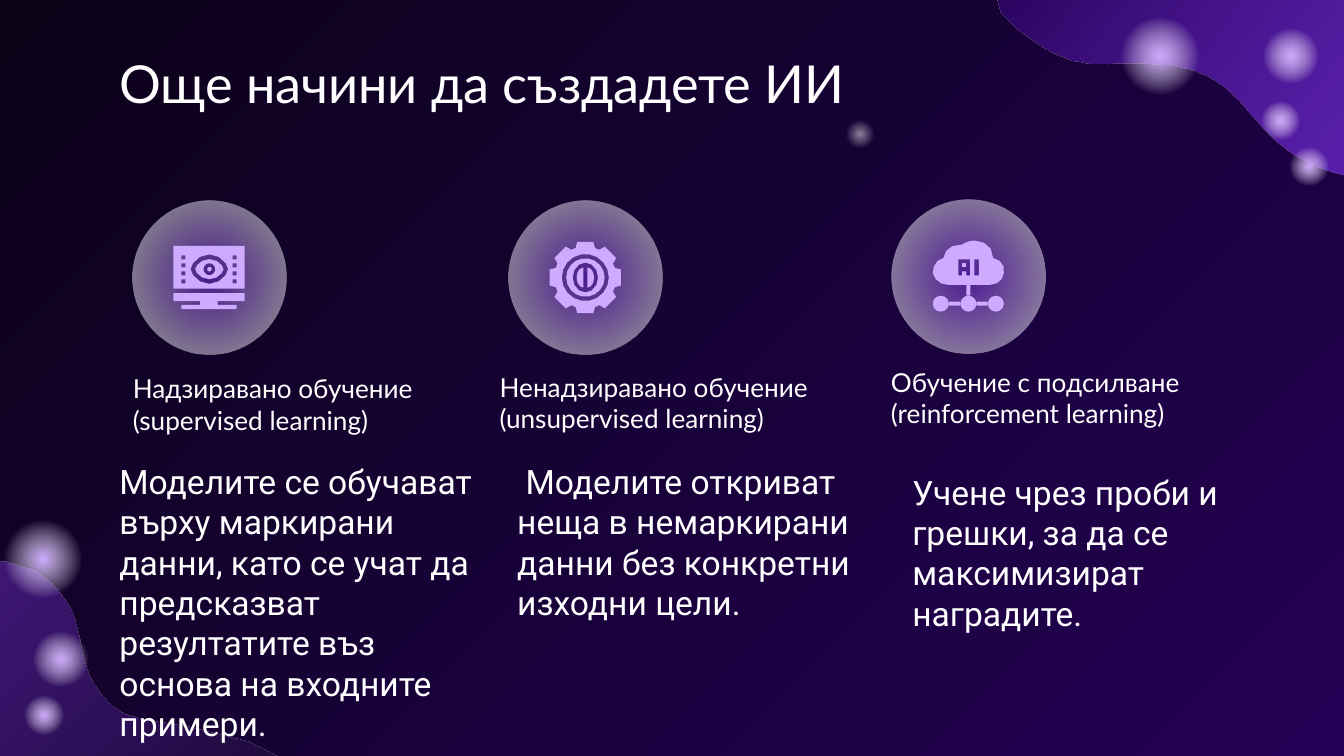
from dataclasses import dataclass
from math import cos, radians, sin
from typing import NamedTuple, Optional

from lxml import etree
from pptx import Presentation
from pptx.dml.color import RGBColor
from pptx.enum.shapes import MSO_SHAPE
from pptx.enum.text import MSO_ANCHOR
from pptx.oxml.ns import qn
from pptx.util import Pt

ELLIPSE = MSO_SHAPE.OVAL
TOP, BOTTOM = MSO_ANCHOR.TOP, MSO_ANCHOR.BOTTOM
WHITE = RGBColor(0xFF, 0xFF, 0xFF)
LILAC = RGBColor(0xCE, 0xAB, 0xFF)
VIOLET = RGBColor(0x81, 0x34, 0xEC)
INDIGO = RGBColor(0x24, 0x01, 0x55)
NIGHT = RGBColor(0x0B, 0x02, 0x18)


class Stop(NamedTuple):
    position: int
    color: RGBColor
    opacity: int = 100


class Disc(NamedTuple):
    left: float
    top: float
    size: float


@dataclass(frozen=True)
class Label:
    left: float
    top: float
    width: float
    height: float
    lines: tuple
    size: int
    font: str = "Lato"
    anchor: MSO_ANCHOR = TOP


GLOW = (Stop(0, LILAC), Stop(57, WHITE, 0), Stop(100, WHITE, 0))
FAINT_GLOW = (Stop(0, WHITE, 50), *GLOW[1:])
BADGE = (Stop(0, VIOLET, 49), Stop(77, WHITE, 49), Stop(100, WHITE, 49))
GLOWS = (Disc(595.4, 4.3, 51.8), Disc(688.3, 76.3, 25.9), Disc(673.2, 51.8, 25.9),
         Disc(673.2, 11.5, 36.7), Disc(14.4, 334.8, 36.7), Disc(-2.9, 273.6, 51.8),
         Disc(10.8, 370.1, 25.9))
BADGES = (Disc(71, 107.7, 82.4), Disc(272.6, 107.7, 82.4), Disc(477.7, 106.9, 82.4))
PUPIL = Disc(111, 143, 2.4)
NODES = tuple(Disc(left, 158.4, 8.6) for left in (499.7, 514.5, 529.2))
LABELS = (
    Label(56.9, 20.2, 607, 45.4, ("Още начини да създадете ИИ",), 28),
    Label(56.9, 239.8, 215.3, 114.5,
          ("Моделите се обучават върху маркирани данни, като се учат да "
           "предсказват резултатите въз основа на входните примери.",), 18, "Roboto"),
    Label(270, 239.8, 207.4, 114.5,
          (" Моделите откриват неща в немаркирани данни без конкретни изходни цели.",),
          18, "Roboto"),
    Label(481.7, 245.5, 188.6, 114.5,
          ("Учене чрез проби и грешки, за да се максимизират наградите.",), 18, "Roboto"),
    Label(64.1, 208.8, 207.4, 31.7,
          ("Надзиравано обучение", "(supervised learning)"), 14, anchor=BOTTOM),
    Label(260.6, 208.1, 221, 31.7,
          ("Ненадзиравано обучение", "(unsupervised learning)"), 14, anchor=BOTTOM),
    Label(470.2, 205.2, 238.3, 31.7,
          ("Обучение с подсилване", "(reinforcement learning)"), 14, anchor=BOTTOM),
)
LEFT_WAVE_TAIL = [(-270, 479.5), (-262.8, 204.5), (-237.6, 231.8), (-213.8, 242.6),
                  (-151.2, 236.9), (-102.2, 265), (-92.9, 324.7), (-42.5, 313.9)]
LEFT_WAVE = (
    (-27.4, 302.4, -0.7, 295.2, 17.3, 305.3), (26.6, 310.3, 33.8, 319, 38.2, 327.6),
    (42.5, 337.7, 42.5, 348.5, 46.1, 358.6), (49, 367.2, 56.9, 378.7, 66.2, 382.3),
    (77, 386.6, 88.6, 386.6, 99.4, 388.8), (144, 394.6, 187.2, 421.2, 205.2, 460.8),
    (207.4, 466.6, 210.2, 473.8, 209.5, 479.5),
)
RIGHT_WAVE_TAIL = [(750.2, 96.5), (746.6, 72), (745.9, 46.8), (741.6, 21.6), (734.4, -25.9),
                   (733, -36.7), (673.2, -27.4), (610.6, -21.6), (566.6, -13.7)]
RIGHT_WAVE = (
    (558.7, -12.2, 537.1, -12.2, 534.2, -2.9), (530.6, 7.9, 556.6, 23, 563.8, 27.4),
    (577.4, 34.6, 589.7, 33.8, 604.1, 33.1), (619.9, 33.1, 634.3, 33.1, 648, 40.3),
    (660.2, 46.8, 668.2, 57.6, 676.8, 67.7), (686.2, 78.5, 697.7, 85.7, 710.6, 90),
    (722.2, 93.6, 738, 97.9, 750.2, 96.5),
)
CLOUD = (
    (534.2, 152.6, 537.8, 149.8, 537.8, 146.2), (538.6, 142.6, 536.4, 139, 532.1, 138.2),
    (532.1, 132.5, 527.8, 128.9, 522, 128.9), (519.8, 128.9, 517.7, 129.6, 515.5, 131),
    (509, 131, 506.2, 133.9, 505.4, 138.2), (501.8, 139, 499.7, 142.6, 499.7, 146.2),
    (500.4, 149.8, 504, 152.6, 507.6, 152.6),
)


def curve(start: tuple, segments: tuple, steps: int) -> list:
    points = [start]
    for ax, ay, bx, by, cx, cy in segments:
        x, y = points[-1]
        for step in range(1, steps + 1):
            t = step / steps
            weights = (1 - t) ** 3, 3 * t * (1 - t) ** 2, 3 * t * t * (1 - t), t ** 3
            points.append(tuple(sum(w * v for w, v in zip(weights, values))
                                for values in ((x, ax, bx, cx), (y, ay, by, cy))))
    return points


def oval(x: float, y: float, a: float, b: float, sharpness: float = 1,
         start: int = 0, sweep: int = 360, step: int = 30) -> list:
    angles = [radians(angle) for angle in range(start, start + sweep + 1, step)]
    return [(x + a * cos(t), y + b * sin(t) * abs(sin(t)) ** (sharpness - 1)) for t in angles]


def box(x: float, y: float, width: float, height: float) -> list:
    return [(x, y), (x + width, y), (x + width, y + height), (x, y + height)]


def turned(points: list, x: float, y: float, degrees: float) -> list:
    c, s = cos(radians(degrees)), sin(radians(degrees))
    return [(x + (px - x) * c - (py - y) * s, y + (px - x) * s + (py - y) * c)
            for px, py in points]


def finish(shape, color: Optional[RGBColor] = None, stops: tuple = (),
           angle: Optional[int] = None) -> None:
    shape.shadow.inherit = False
    shape.line.fill.background()
    if color is not None:
        shape.fill.solid()
        shape.fill.fore_color.rgb = color
        return
    shape.fill.background()
    properties = shape._element.spPr
    gradient = etree.Element(qn("a:gradFill"), rotWithShape="1")
    stop_list = etree.SubElement(gradient, qn("a:gsLst"))
    for stop in stops:
        mark = etree.SubElement(stop_list, qn("a:gs"), pos=str(stop.position * 1000))
        tint = etree.SubElement(mark, qn("a:srgbClr"), val=str(stop.color))
        etree.SubElement(tint, qn("a:alpha"), val=str(stop.opacity * 1000))
    if angle is None:
        radial = etree.SubElement(gradient, qn("a:path"), path="circle")
        etree.SubElement(radial, qn("a:fillToRect"), dict.fromkeys("ltrb", "50000"))
    else:
        etree.SubElement(gradient, qn("a:lin"), ang=str(angle * 60000), scaled="0")
    properties.replace(properties.find(qn("a:noFill")), gradient)


def add_outline(page, *contours: list):
    first, *others = [[(Pt(x), Pt(y)) for x, y in contour] for contour in contours]
    builder = page.shapes.build_freeform(*first[0], scale=1.0)
    builder.add_line_segments(first[1:], close=True)
    for contour in others:
        builder.move_to(*contour[0])
        builder.add_line_segments(contour[1:], close=True)
    return builder.convert_to_shape()


def add_disc(page, disc: Disc, color: Optional[RGBColor] = None, stops: tuple = ()) -> None:
    frame = (disc.left, disc.top, disc.size, disc.size)
    finish(page.shapes.add_shape(ELLIPSE, *map(Pt, frame)), color, stops)


def add_label(page, label: Label) -> None:
    frame = (label.left, label.top, label.width, label.height)
    text = page.shapes.add_textbox(*map(Pt, frame)).text_frame
    margins = dict.fromkeys(("margin_left", "margin_top", "margin_right", "margin_bottom"), Pt(7.2))
    for name, value in {"word_wrap": True, "vertical_anchor": label.anchor, **margins}.items():
        setattr(text, name, value)
    for index, line in enumerate(label.lines):
        para = text.add_paragraph() if index else text.paragraphs[0]
        span = para.add_run()
        span.text = line
        for name, value in {"size": Pt(label.size), "name": label.font}.items():
            setattr(span.font, name, value)
        span.font.color.rgb = WHITE


def add_waves(page) -> None:
    left = add_outline(page, LEFT_WAVE_TAIL[:-1] + curve(LEFT_WAVE_TAIL[-1], LEFT_WAVE, 4))
    finish(left, stops=(Stop(0, NIGHT), Stop(100, VIOLET, 70)), angle=225)
    edge = RIGHT_WAVE_TAIL[:-1] + curve(RIGHT_WAVE_TAIL[-1], RIGHT_WAVE, 4)
    right = add_outline(page, turned(edge, 640.4, 42.1, 9))
    right.rotation = 351
    finish(right, stops=(Stop(0, VIOLET, 70), Stop(100, INDIGO)), angle=225)


def icon_parts() -> list:
    eye = 112.2, 144.2
    slots = [box(x, 136.8 + 4.3 * row, 2.2, 2.2) for x in (97.2, 124.6) for row in range(4)]
    tiers = ((19.1, 157), (19.1, 161.3), (4.7, 161.3), (4.7, 163.4), (14.8, 163.4), (14.8, 165.6))
    stand = [(112 - w, y) for w, y in tiers] + [(112 + w, y) for w, y in reversed(tiers)]
    hub = 313.6, 148.7
    tooth = [(hub[0] + x, hub[1] + y)
             for x, y in ((-5.2, -15.8), (-4.3, -19.1), (4.3, -19.1), (5.2, -15.8))]
    gear = [point for turn in range(8) for point in turned(tooth, *hub, 45 * turn)]
    letter_a = [(515.5, 145.4), (515.5, 147.6), (513.4, 147.6), (513.4, 139),
                (519.8, 139), (519.8, 147.6), (517.7, 147.6), (517.7, 145.4)]
    links = [box(517.7, 152.6, 2.2, 5.8), box(508.3, 161.6, 6.2, 2.2), box(523.1, 161.6, 6.1, 2.2)]
    return [
        [oval(*eye, 7.6, 5.4, 1.3), oval(*eye, 3.2, 3.2)],
        [box(92.9, 131.8, 38.2, 22.9), oval(*eye, 10.1, 7.9, 1.3), *slots],
        [stand],
        [oval(314.7, 148.7, 3.6, 5.4, start=-90, sweep=180)],
        [oval(312.5, 148.7, 3.6, 5.4, start=90, sweep=180)],
        [oval(*hub, 10.3, 10.3, step=20), oval(*hub, 6.8, 8)],
        [gear, oval(*hub, 12.6, 12.6, step=20)],
        [box(515.5, 141.1, 2.2, 2.2)],
        [curve((530.6, 152.6), CLOUD, 3), letter_a, box(522, 139, 2.5, 8.6), *links],
    ]


def main() -> None:
    deck = Presentation()
    deck.slide_width, deck.slide_height = Pt(720), Pt(405)
    page = deck.slides.add_slide(deck.slide_layouts[6])
    backdrop = page.background.fill
    backdrop.gradient()
    backdrop.gradient_angle = 315
    for stop, color in zip(backdrop.gradient_stops, (NIGHT, INDIGO)):
        stop.color.rgb = color
    add_waves(page)
    for disc in GLOWS:
        add_disc(page, disc, stops=GLOW)
    for label in LABELS:
        add_label(page, label)
    for disc in BADGES:
        add_disc(page, disc, stops=BADGE)
    add_disc(page, Disc(451.4, 62.6, 18.7), stops=FAINT_GLOW)
    for contours in icon_parts():
        finish(add_outline(page, *contours), LILAC)
    for disc in (PUPIL, *NODES):
        add_disc(page, disc, LILAC)
    deck.save("out.pptx")


if __name__ == "__main__":
    main()
